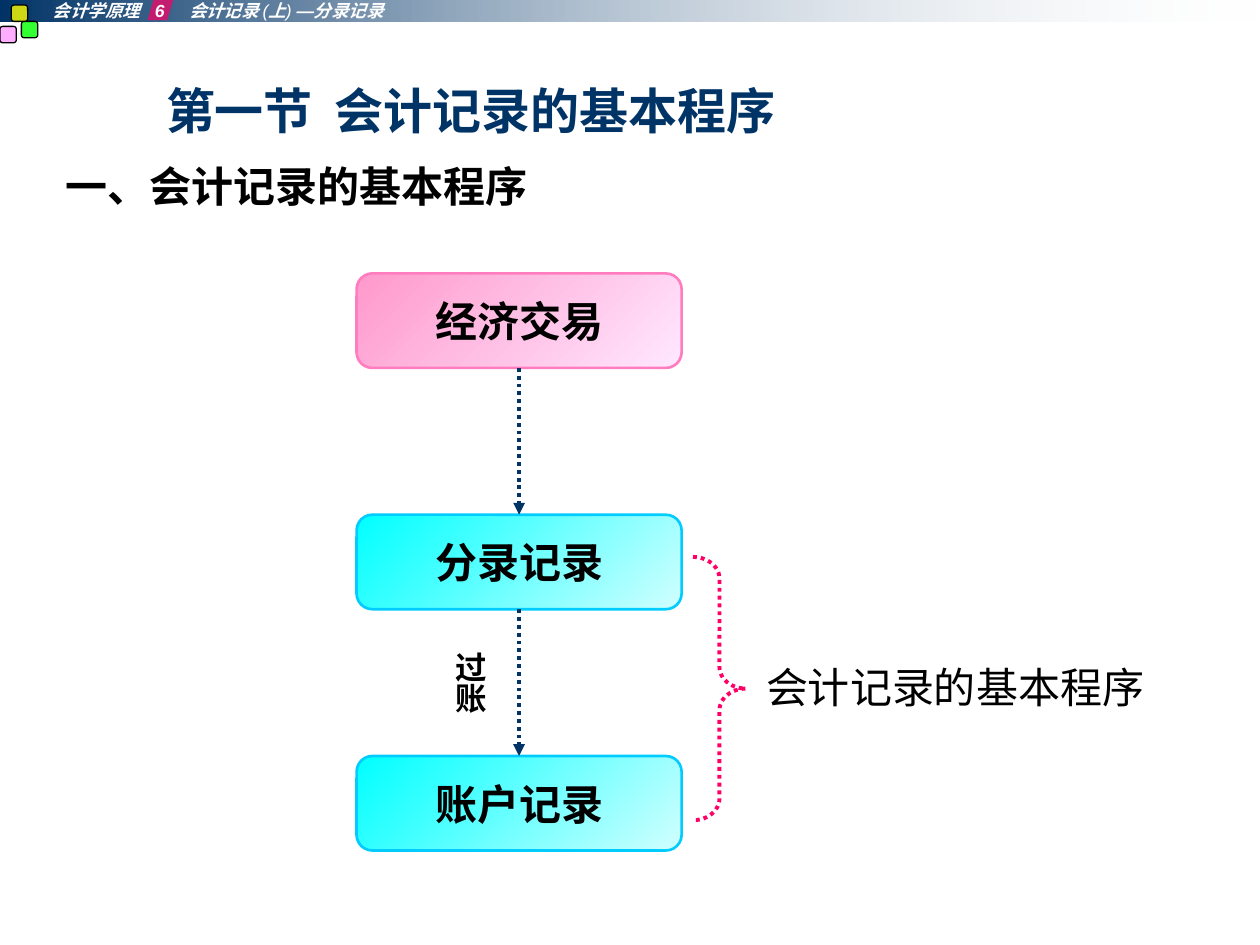
import pptx
import pptx.util
import pptx.dml.color
import pptx.enum.dml
import pptx.enum.shapes
import pptx.enum.text
import pptx.oxml.ns
import pptx.oxml.xmlchemy

Inches = pptx.util.Inches
Pt = pptx.util.Pt
SHAPE = pptx.enum.shapes.MSO_SHAPE
qn = pptx.oxml.ns.qn

COLORS = {
    "navy": "003366", "mist": "E7ECF1", "white": "FFFFFF", "black": "000000",
    "orchid": "FF99FF", "green": "00FF00", "yellow": "FFFF00", "crimson": "FF0066",
    "pink": "FF99CC", "pale_pink": "FFE7FF", "pink_edge": "FF7DBE",
    "cyan": "00FFFF", "pale_cyan": "D1FFFF", "cyan_edge": "00CCFF",
}


def rgb(name):
    return pptx.dml.color.RGBColor.from_string(COLORS[name])


def sub(parent, tag, **attributes):
    child = pptx.oxml.xmlchemy.OxmlElement(tag)
    for key, value in attributes.items():
        child.set(key, str(value))
    parent.append(child)
    return child


def set_alpha(color_node, percent):
    sub(color_node, "a:alpha", val=percent * 1000)


def add_block(slide, kind, box, edge=None, width=0.75):
    block = slide.shapes.add_shape(kind, *map(Inches, box))
    block.shadow.inherit = False
    if edge:
        block.line.color.rgb = rgb(edge)
        block.line.width = Pt(width)
    else:
        block.line.fill.background()
    return block


def fill_solid(block, color, alpha):
    block.fill.solid()
    block.fill.fore_color.rgb = rgb(color)
    set_alpha(block._element.spPr.find(qn("a:solidFill")).find(qn("a:srgbClr")), alpha)


def fill_gradient(block, colors, angle):
    block.fill.gradient()
    block.fill.gradient_angle = angle
    for stop, color, position in zip(block.fill.gradient_stops, colors, (0, 1)):
        stop.color.rgb = rgb(color)
        stop.position = position


def add_run(paragraph, text, size, color="black", bold=False, italic=False, font="Arial"):
    run = paragraph.add_run()
    run.text = text
    run.font.size = Pt(size)
    run.font.bold = bold
    run.font.italic = italic
    run.font.name = font
    run.font.color.rgb = rgb(color)
    sub(run._r.get_or_add_rPr(), "a:ea", typeface="Noto Sans CJK SC")


def add_text_frame(slide, box, inset=(0, 0)):
    frame = slide.shapes.add_textbox(*map(Inches, box)).text_frame
    frame.word_wrap = True
    frame.margin_left = frame.margin_right = Inches(inset[0])
    frame.margin_top = frame.margin_bottom = Inches(inset[1])
    return frame


def set_tabs(paragraph, stops):
    tabs = sub(paragraph._p.get_or_add_pPr(), "a:tabLst")
    for stop in stops:
        sub(tabs, "a:tab", pos=int(Inches(stop)), algn="l")


def add_header(slide, box):
    left, top, width, height = box
    band = add_block(slide, SHAPE.RECTANGLE, box)
    fill_gradient(band, ("navy", "mist"), 0)
    gradient = band._element.spPr.find(qn("a:gradFill"))
    set_alpha(gradient.findall(".//" + qn("a:srgbClr"))[-1], 0)

    for x, y, color in ((0, 0.21, "orchid"), (0.17, 0.17, "green"), (0.09, 0.04, "yellow")):
        square = add_block(slide, SHAPE.ROUNDED_RECTANGLE,
                           (left + x, top + y, 0.13, 0.13), "black")
        fill_solid(square, color, 80)

    chapter_mark = add_block(slide, SHAPE.PARALLELOGRAM, (left + 1.17, top - 0.02, 0.21, 0.18))
    chapter_mark.adjustments[0] = 0.3
    fill_solid(chapter_mark, "crimson", 70)

    course = add_text_frame(slide, (left + 0.42, top, 2.92, height)).paragraphs[0]
    set_tabs(course, (0.81, 1.08))
    for text, bold in (("会计学原理\t6\t会计记录 ", True), ("(", False), ("上", True),
                       (") ", False), ("—分录记录", True)):
        add_run(course, text, 10, "white", bold, italic=True)


def add_headings(slide, box):
    frame = add_text_frame(slide, box, (0.1, 0.05))
    section = frame.paragraphs[0]
    section.line_spacing = 1.2
    set_tabs(section, (0.8, 2.14))
    add_run(section, "\t第一节\t会计记录的基本程序", 28, "navy", True, font="Noto Sans CJK SC")
    topic = frame.add_paragraph()
    topic.line_spacing = 1.2
    topic.space_before = Pt(6)
    add_run(topic, "一、会计记录的基本程序", 24, bold=True)


def add_step(slide, box, text, colors, edge):
    step = add_block(slide, SHAPE.ROUNDED_RECTANGLE, box, edge, 1.5)
    fill_gradient(step, colors, 315)
    frame = step.text_frame
    frame.word_wrap = False
    frame.vertical_anchor = pptx.enum.text.MSO_ANCHOR.MIDDLE
    paragraph = frame.paragraphs[0]
    paragraph.alignment = pptx.enum.text.PP_ALIGN.CENTER
    add_run(paragraph, text, 24, bold=True)
    return step


def dot_line(line, color):
    line.color.rgb = rgb(color)
    line.width = Pt(2.25)
    line.dash_style = pptx.enum.dml.MSO_LINE.ROUND_DOT


def add_arrow(slide, upper, lower):
    arrow = slide.shapes.add_connector(pptx.enum.shapes.MSO_CONNECTOR.STRAIGHT, 0, 0, 0, 0)
    arrow.begin_connect(upper, 2)
    arrow.end_connect(lower, 0)
    dot_line(arrow.line, "navy")
    sub(arrow._element.spPr.find(qn("a:ln")), "a:tailEnd", type="triangle")
    sub(arrow._element.spPr, "a:effectLst")


def add_flow(slide, box):
    left, top, width, height = box
    step_height = 0.75
    pitch = (height - step_height) / 2
    cyan = (("cyan", "pale_cyan"), "cyan_edge")
    contents = (("经济交易", ("pink", "pale_pink"), "pink_edge"),
                ("分录记录", *cyan), ("账户记录", *cyan))
    steps = [add_step(slide, (left, top + i * pitch, width, step_height), *content)
             for i, content in enumerate(contents)]
    for upper, lower in zip(steps, steps[1:]):
        add_arrow(slide, upper, lower)

    posting = add_text_frame(slide, (left + 0.75, top + 3, 0.3, 0.58))
    posting._txBody.bodyPr.set("vert", "eaVert")
    add_run(posting.paragraphs[0], "过账", 18, bold=True)


def add_summary(slide, box):
    left, top, width, height = box
    brace = add_block(slide, SHAPE.RIGHT_BRACE, (left, top, 0.42, height))
    brace.adjustments[0] = 0.41
    brace.fill.background()
    dot_line(brace.line, "crimson")
    procedure = add_text_frame(slide, (left + 0.58, top + 0.83, width - 0.58, 0.4))
    add_run(procedure.paragraphs[0], "会计记录的基本程序", 24)


def main():
    deck = pptx.Presentation()
    deck.slide_width = Inches(10)
    deck.slide_height = Inches(7.5)
    slide = deck.slides.add_slide(deck.slide_layouts[6])
    add_header(slide, (0, 0, 10, 0.17))
    add_headings(slide, (0.42, 0.5, 9.17, 6.58))
    add_flow(slide, (2.83, 2.17, 2.58, 4.58))
    add_summary(slide, (5.5, 4.42, 3.75, 2.09))
    deck.save("out.pptx")


if __name__ == "__main__":
    main()
